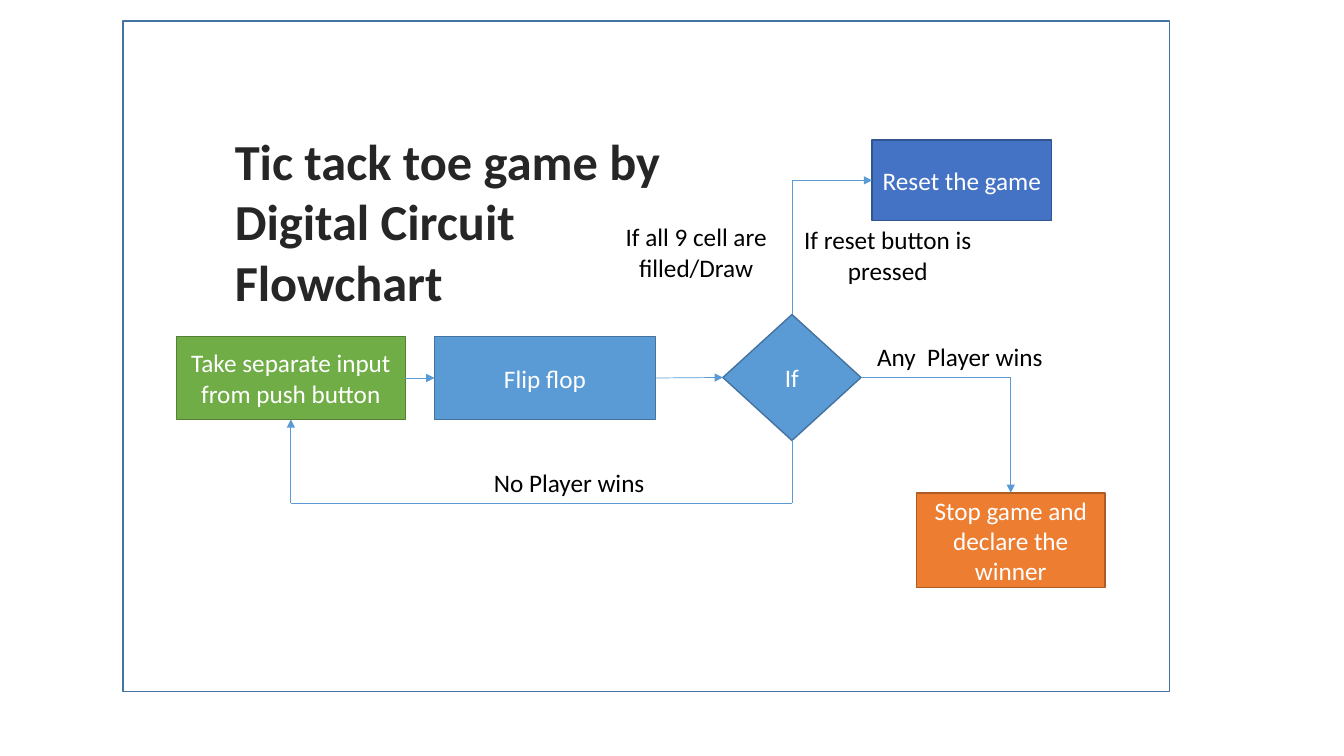
from dataclasses import dataclass

from lxml import etree
from pptx import Presentation
from pptx.dml.color import RGBColor
from pptx.enum.shapes import MSO_CONNECTOR, MSO_SHAPE
from pptx.enum.text import MSO_ANCHOR, PP_ALIGN
from pptx.oxml.ns import qn
from pptx.util import Inches, Pt

RECTANGLE, DIAMOND = MSO_SHAPE.RECTANGLE, MSO_SHAPE.DIAMOND
STRAIGHT = MSO_CONNECTOR.STRAIGHT
MIDDLE = MSO_ANCHOR.MIDDLE
LEFT, CENTER = PP_ALIGN.LEFT, PP_ALIGN.CENTER
TOP_SITE, LEFT_SITE, BOTTOM_SITE, RIGHT_SITE = range(4)


@dataclass(frozen=True)
class Theme:
    """Colours (fill, outline), type sizes and line widths."""
    font: str = "Calibri"
    title_size: int = 36
    body_size: int = 18
    outline_width: float = 1
    arrow_width: float = 0.5
    title: str = "262626"
    label: str = "000000"
    node_text: str = "FFFFFF"
    arrow: str = "5B9BD5"
    blue: tuple = ("5B9BD5", "43739E")
    green: tuple = ("70AD47", "538035")
    orange: tuple = ("ED7D31", "AF5C24")
    indigo: tuple = ("4472C4", "325491")


THEME = Theme()


def color(value):
    """Turn a hex string into a colour."""
    return RGBColor.from_string(value)


def write(shape, lines, size, text_color, align=CENTER, bold=False):
    """Fill a shape with one paragraph per line."""
    frame = shape.text_frame
    frame.text = "\n".join(lines)
    for paragraph in frame.paragraphs:
        paragraph.alignment = align
        font = paragraph.font
        font.name, font.size, font.bold = THEME.font, Pt(size), bold
        font.color.rgb = color(text_color)


def add_box(slide, kind, box, fill, outline):
    """Add an outlined shape; a fill of None leaves it open."""
    shape = slide.shapes.add_shape(kind, *map(Inches, box))
    shape.shadow.inherit = False
    if fill:
        shape.fill.solid()
        shape.fill.fore_color.rgb = color(fill)
    else:
        shape.fill.background()
    shape.line.color.rgb = color(outline)
    shape.line.width = Pt(THEME.outline_width)
    return shape


def add_node(slide, kind, box, text, colors):
    """Add a flowchart step with centred text."""
    shape = add_box(slide, kind, box, *colors)
    shape.text_frame.word_wrap = True
    shape.text_frame.vertical_anchor = MIDDLE
    write(shape, [text], THEME.body_size, THEME.node_text)
    return shape


def add_label(slide, box, text, wrap):
    """Add the caption of a branch."""
    label = slide.shapes.add_textbox(*map(Inches, box))
    label.text_frame.word_wrap = wrap
    write(label, [text], THEME.body_size, THEME.label)


def site_point(shape, site):
    """Return the middle of one side of a shape."""
    middle_x = shape.left + shape.width // 2
    middle_y = shape.top + shape.height // 2
    return {
        TOP_SITE: (middle_x, shape.top),
        LEFT_SITE: (shape.left, middle_y),
        BOTTOM_SITE: (middle_x, shape.top + shape.height),
        RIGHT_SITE: (shape.left + shape.width, middle_y),
    }[site]


def add_route(slide, source, source_site, target, target_site, corners=()):
    """Join two steps through corners, with an arrowhead at the target."""
    points = [site_point(source, source_site), *corners,
              site_point(target, target_site)]
    segments = []
    for start, end in zip(points, points[1:]):
        segment = slide.shapes.add_connector(STRAIGHT, *start, *end)
        segment.line.color.rgb = color(THEME.arrow)
        segment.line.width = Pt(THEME.arrow_width)
        etree.SubElement(segment._element.spPr, qn("a:effectLst"))
        segments.append(segment)
    segments[0].begin_connect(source, source_site)
    segments[-1].end_connect(target, target_site)
    line = segments[-1].line._get_or_add_ln()
    etree.SubElement(line, qn("a:tailEnd"), type="triangle")


def draw_title(slide, box):
    """Write the three-line title in its box."""
    title = slide.shapes.add_textbox(*map(Inches, box))
    title.text_frame.word_wrap = False
    lines = ["Tic tack toe game by", "Digital Circuit", "Flowchart"]
    write(title, lines, THEME.title_size, THEME.title, LEFT, True)


def draw_flowchart(slide, left, top):
    """Draw steps, routes and captions from the chart's top-left corner."""
    def place(x, y, width, height):
        return left + x, top + y, width, height

    step_top, step_height = 1.95, 0.82
    push_button = add_node(slide, RECTANGLE, place(0, step_top, 2.27, step_height),
                           "Take separate input from push button", THEME.green)
    flip_flop = add_node(slide, RECTANGLE, place(2.56, step_top, 2.19, step_height),
                         "Flip flop", THEME.blue)
    decision = add_node(slide, DIAMOND, place(5.42, 1.73, 1.37, 1.25),
                        "If", THEME.blue)
    stop = add_node(slide, RECTANGLE, place(7.34, 3.5, 1.87, 0.94),
                    "Stop game and declare the winner", THEME.orange)
    reset = add_node(slide, RECTANGLE, place(6.9, 0, 1.78, 0.8),
                     "Reset the game", THEME.indigo)

    decision_x, decision_y = site_point(decision, TOP_SITE)[0], site_point(decision, LEFT_SITE)[1]
    input_x = site_point(push_button, BOTTOM_SITE)[0]
    stop_x = site_point(stop, TOP_SITE)[0]
    reset_y = site_point(reset, LEFT_SITE)[1]
    loop_y = Inches(top + 3.6)
    add_route(slide, push_button, RIGHT_SITE, flip_flop, LEFT_SITE)
    add_route(slide, flip_flop, RIGHT_SITE, decision, LEFT_SITE)
    add_route(slide, decision, BOTTOM_SITE, push_button, BOTTOM_SITE,
              [(decision_x, loop_y), (input_x, loop_y)])
    add_route(slide, decision, RIGHT_SITE, stop, TOP_SITE, [(stop_x, decision_y)])
    add_route(slide, decision, TOP_SITE, reset, LEFT_SITE, [(decision_x, reset_y)])

    for box, text, wrap in [
        ((3.04, 3.2, 1.71, 0.4), "No Player wins", False),
        ((6.84, 1.95, 1.86, 0.4), "Any  Player wins", False),
        ((4.21, 0.76, 1.89, 0.71), "If all 9 cell are filled/Draw", True),
        ((6.11, 0.79, 1.89, 0.71), "If reset button is pressed", True),
    ]:
        add_label(slide, place(*box), text, wrap)


def draw_slide(slide, left, top, width, height):
    """Compose the framed slide inside the given box."""
    add_box(slide, RECTANGLE, (left, top, width, height), None, THEME.blue[1])
    draw_flowchart(slide, left + 0.53, top + 1.18)
    draw_title(slide, (left + 1.01, top + 1.03, 4.58, 1.92))


presentation = Presentation()
presentation.slide_width = Inches(13.33)
presentation.slide_height = Inches(7.5)
blank_layout = presentation.slide_layouts[6]
draw_slide(presentation.slides.add_slide(blank_layout), 1.22, 0.21, 10.38, 6.65)
presentation.save("out.pptx")
